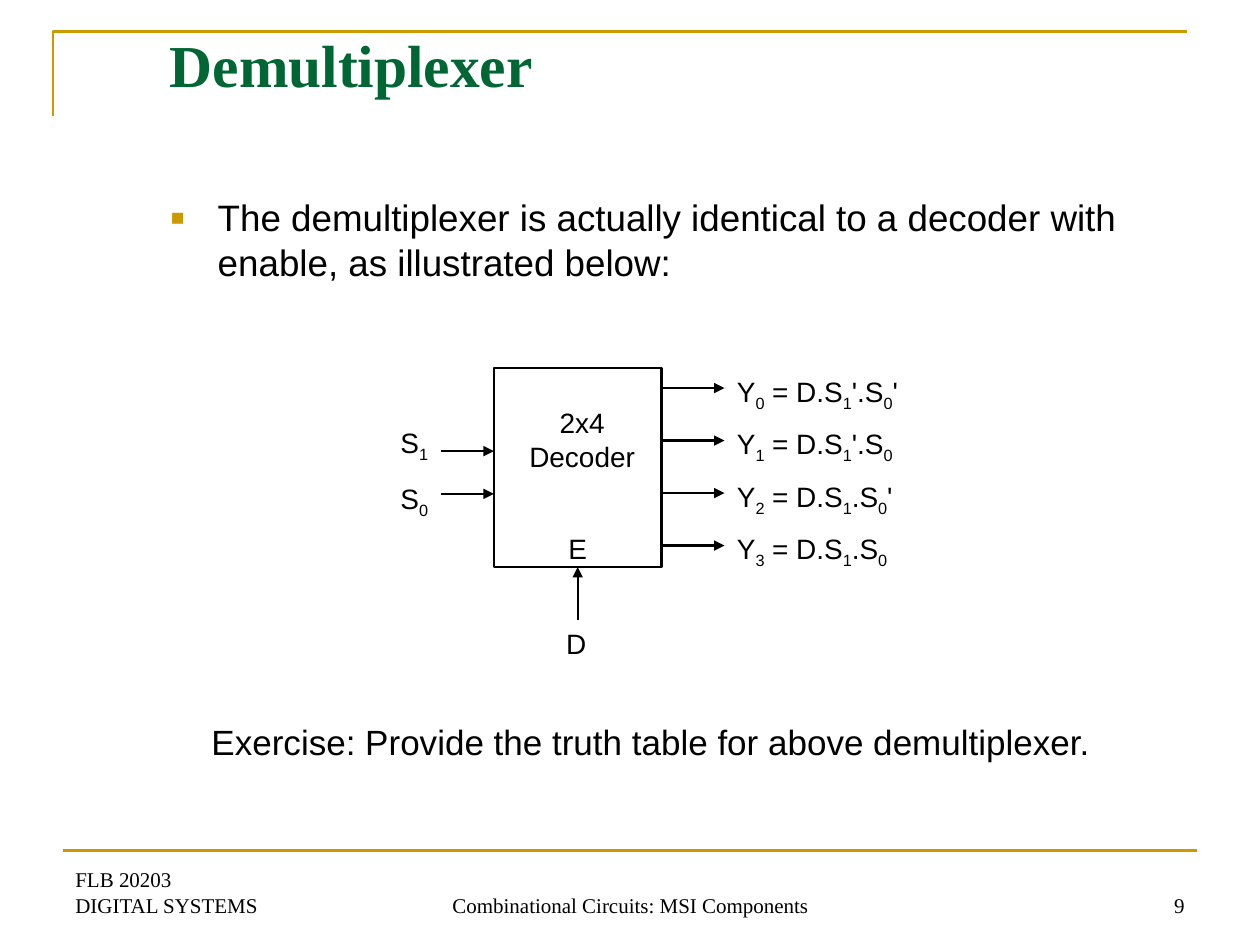
from lxml import etree
from pptx import Presentation
from pptx.dml.color import RGBColor
from pptx.enum import shapes, text
from pptx.oxml.ns import qn
from pptx.util import Inches, Pt

BLACK = RGBColor(0x00, 0x00, 0x00)
GOLD = RGBColor(0xCC, 0x99, 0x00)
GREEN = RGBColor(0x00, 0x66, 0x33)
SERIF, SANS = "Times New Roman", "Arial"
LEFT, CENTER, RIGHT = text.PP_ALIGN.LEFT, text.PP_ALIGN.CENTER, text.PP_ALIGN.RIGHT


def add_spans(para, words):
    """Add runs to the paragraph; the character after each underscore is a subscript."""
    first, *rest = words.split("_")
    para.text = first
    for piece in rest:
        digit = para.add_run()
        digit.text = piece[0]
        digit._r.get_or_add_rPr().set("baseline", "-25000")
        if piece[1:]:
            para.add_run().text = piece[1:]


def add_label(page, left, top, width, height, lines, size, font=SANS, color=BLACK,
              align=LEFT, anchor=text.MSO_ANCHOR.TOP, bold=False, bullet=None):
    box = page.shapes.add_textbox(Inches(left), Inches(top), Inches(width), Inches(height))
    frame = box.text_frame
    frame.word_wrap = True
    frame.vertical_anchor = anchor
    for number, words in enumerate(lines):
        para = frame.add_paragraph() if number else frame.paragraphs[0]
        add_spans(para, words)
        para.alignment = align
        if number:
            para.space_before = Pt(10)
        if bullet:
            add_bullet(para, bullet)
        para.font.size = Pt(size)
        para.font.name = font
        para.font.bold = bold
        para.font.color.rgb = color


def add_bullet(para, mark):
    props = para._p.get_or_add_pPr()
    props.set("marL", str(Inches(0.38)))
    props.set("indent", str(-Inches(0.38)))
    color = etree.SubElement(props, qn("a:buClr"))
    etree.SubElement(color, qn("a:srgbClr"), val=str(GOLD))
    etree.SubElement(props, qn("a:buSzPct"), val="120000")
    etree.SubElement(props, qn("a:buFont"), typeface=SANS)
    etree.SubElement(props, qn("a:buChar"), char=mark)


def add_line(page, x1, y1, x2, y2, color, width, arrow=False):
    line = page.shapes.add_connector(shapes.MSO_CONNECTOR.STRAIGHT,
                                     Inches(x1), Inches(y1), Inches(x2), Inches(y2))
    line.line.color.rgb = color
    line.line.width = Pt(width)
    if arrow:
        etree.SubElement(line.line._get_or_add_ln(), qn("a:tailEnd"), type="triangle")
    etree.SubElement(line._element.spPr, qn("a:effectLst"))
    return line


def add_frame(page, left, top, width, height):
    """Gold corner at the top left and gold rule above the footer."""
    pen = page.shapes.build_freeform(Inches(left), Inches(top + height))
    pen.add_line_segments([(Inches(left), Inches(top)),
                           (Inches(left + width), Inches(top))], close=False)
    corner = pen.convert_to_shape()
    corner.shadow.inherit = False
    corner.fill.background()
    corner.line.color.rgb = GOLD
    corner.line.width = Pt(1.5)
    add_line(page, 0.5, 6.75, 9.5, 6.75, GOLD, 1.5)


def add_footer(page, top, height):
    for left, width, words, align in (
            (0.5, 2.33, "FLB 20203\vDIGITAL SYSTEMS", LEFT),
            (3.42, 3.17, "Combinational Circuits: MSI Components", CENTER),
            (7.17, 2.33, "9", RIGHT)):
        add_label(page, left, top, width, height, [words], 12, SERIF,
                  align=align, anchor=text.MSO_ANCHOR.BOTTOM)


def add_decoder(page, left, top, width, height):
    """Decoder block with its select inputs, outputs and enable input."""
    right, bottom, middle = left + width, top + height, left + width / 2
    block = page.shapes.add_shape(shapes.MSO_SHAPE.RECTANGLE, Inches(left), Inches(top),
                                  Inches(width), Inches(height))
    block.shadow.inherit = False
    block.fill.background()
    block.line.color.rgb = BLACK
    block.line.width = Pt(1.5)
    add_label(page, left + 0.16, top + 0.25, 1.08, 0.64, ["2x4 Decoder"], 16, align=CENTER)

    add_label(page, left - 0.84, top + 0.41, 0.5, 0.85, ["S_1", "S_0"], 16)
    for drop in (0.66, 1):
        add_line(page, left - 0.42, top + drop, left, top + drop, BLACK, 1.25, arrow=True)

    outputs = ("Y_0 = D.S_1'.S_0'", "Y_1 = D.S_1'.S_0", "Y_2 = D.S_1.S_0'", "Y_3 = D.S_1.S_0")
    for number, formula in enumerate(outputs):
        y = top + number * 1.25 / 3
        add_line(page, right, y + 0.16, right + 0.5, y + 0.16, BLACK, 1.25, arrow=True)
        add_label(page, right + 0.5, y, 1.83, 0.41, [formula], 16)

    add_label(page, middle - 0.21, bottom - 0.33, 0.42, 0.37, ["E"], 16, align=CENTER)
    enable = add_line(page, middle, bottom + 0.42, middle, bottom, BLACK, 1.25, arrow=True)
    enable.end_connect(block, 2)
    add_label(page, middle - 0.19, bottom + 0.42, 0.42, 0.37, ["D"], 16)


def main():
    deck = Presentation()
    deck.slide_width, deck.slide_height = Inches(10), Inches(7.5)
    page = deck.slides.add_slide(deck.slide_layouts[6])
    add_frame(page, 0.42, 0.25, 9, 0.67)
    add_footer(page, 6.83, 0.5)
    add_label(page, 1.25, 0.17, 8.5, 1.25, ["Demultiplexer"], 34, SERIF, GREEN, bold=True)
    add_label(page, 1.25, 1.5, 8.5, 1.08,
              ["The demultiplexer is actually identical to a decoder with enable, "
               "as illustrated below:"], 21, bullet="▪")
    add_decoder(page, 3.92, 2.92, 1.33, 1.58)
    add_label(page, 1.58, 5.67, 7.33, 0.58,
              ["Exercise: Provide the truth table for above demultiplexer."], 20)
    deck.save("out.pptx")


if __name__ == "__main__":
    main()
